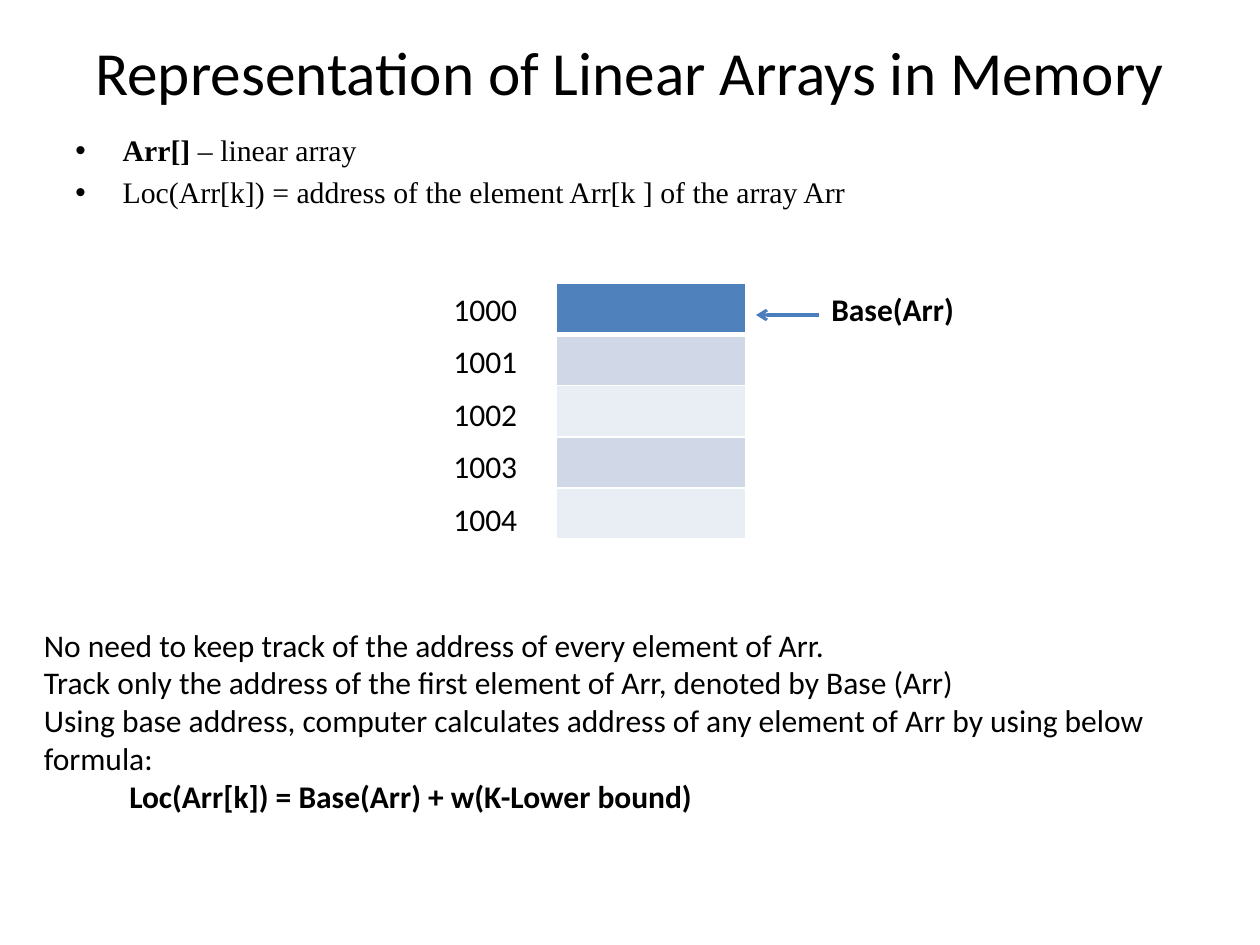
from lxml import etree
from pptx import Presentation
from pptx.dml.color import RGBColor
from pptx.enum.shapes import MSO_CONNECTOR
from pptx.enum.text import MSO_ANCHOR, MSO_AUTO_SIZE, PP_ALIGN
from pptx.oxml.ns import qn
from pptx.util import Pt

STRAIGHT = MSO_CONNECTOR.STRAIGHT
MIDDLE = MSO_ANCHOR.MIDDLE
GROW, FIXED = MSO_AUTO_SIZE.SHAPE_TO_FIT_TEXT, MSO_AUTO_SIZE.NONE
LEFT, CENTER, JUSTIFY = PP_ALIGN.LEFT, PP_ALIGN.CENTER, PP_ALIGN.JUSTIFY

BLACK = RGBColor(0x00, 0x00, 0x00)
WHITE = RGBColor(0xFF, 0xFF, 0xFF)
BLUE = RGBColor(0x4F, 0x81, 0xBD)
DARK_BAND = RGBColor(0xD0, 0xD8, 0xE8)
LIGHT_BAND = RGBColor(0xE9, 0xED, 0xF4)
ARROW_BLUE = RGBColor(0x4B, 0x7E, 0xBC)

MEMORY_TOP = 162
LABEL_STEP = 30
CELL_HEIGHT = 29.2
CELL_FILLS = [BLUE, DARK_BAND, LIGHT_BAND, DARK_BAND, LIGHT_BAND]
FIRST_ADDRESS = 1000

EXPLANATION = [
    "No need to keep track of the address of every element of Arr.",
    "Track only the address of the first element of Arr, denoted by Base (Arr)",
    "Using base address, computer calculates address of any element of Arr "
    "by using below formula:",
]


def add_span(para, text, size=18, font="Calibri", bold=False):
    span = para.add_run()
    span.text = text
    span.font.size = Pt(size)
    span.font.name = font
    span.font.bold = bold
    span.font.color.rgb = BLACK


def add_box(page, left, top, width, height, auto_size=GROW):
    box = page.shapes.add_textbox(Pt(left), Pt(top), Pt(width), Pt(height))
    box.text_frame.word_wrap = True
    box.text_frame.auto_size = auto_size
    return box.text_frame


def next_para(frame, align=LEFT):
    """Return the empty first paragraph, or a new one after the last."""
    para = frame.paragraphs[0] if not frame.paragraphs[0].runs else frame.add_paragraph()
    para.alignment = align
    return para


def indent(para, left, first=0):
    properties = para._p.get_or_add_pPr()
    properties.set("marL", str(Pt(left)))
    properties.set("indent", str(Pt(first)))
    return properties


def add_title(page, text):
    title = page.shapes.title
    title.left, title.top, title.width, title.height = Pt(36), Pt(21.6), Pt(648), Pt(38)
    frame = title.text_frame
    frame.word_wrap = True
    frame.auto_size = FIXED
    frame.vertical_anchor = MIDDLE
    add_span(next_para(frame, CENTER), text, size=35)


def add_bullet(frame, *parts):
    """Add a bulleted paragraph from (text, bold) pairs."""
    para = next_para(frame, JUSTIFY)
    para.space_before = Pt(3.4)
    properties = indent(para, 27, -27)
    etree.SubElement(properties, qn("a:buFont"), typeface="Arial")
    etree.SubElement(properties, qn("a:buChar"), char="•")
    for text, bold in parts:
        add_span(para, text, size=17, font="Times New Roman", bold=bold)


def add_border(cell, side, width):
    line = etree.SubElement(cell._tc.get_or_add_tcPr(), qn(f"a:ln{side}"), w=str(Pt(width)))
    fill = etree.SubElement(line, qn("a:solidFill"))
    etree.SubElement(fill, qn("a:srgbClr"), val=str(WHITE))


def add_memory_table(page):
    count = len(CELL_FILLS)
    table = page.shapes.add_table(
        count, 1, Pt(318), Pt(MEMORY_TOP), Pt(108), Pt(CELL_HEIGHT * count)
    ).table
    for index, color in enumerate(CELL_FILLS):
        table.rows[index].height = Pt(CELL_HEIGHT)
        cell = table.cell(index, 0)
        widths = {"L": 1, "R": 1, "T": 3 if index == 1 else 1, "B": 3 if index == 0 else 1}
        for side, width in widths.items():
            add_border(cell, side, width)
        cell.fill.solid()
        cell.fill.fore_color.rgb = color


def add_arrow(page, start, end):
    arrow = page.shapes.add_connector(STRAIGHT, *map(Pt, start + end))
    arrow.line.color.rgb = ARROW_BLUE
    arrow.line.width = Pt(1.75)
    etree.SubElement(arrow.line._get_or_add_ln(), qn("a:tailEnd"), type="arrow")
    etree.SubElement(arrow._element.spPr, qn("a:effectLst"))


def main():
    deck = Presentation()
    deck.slide_width, deck.slide_height = Pt(720), Pt(540)
    page = deck.slides.add_slide(deck.slide_layouts[5])

    add_title(page, "Representation of Linear Arrays in Memory")

    notation = add_box(page, 36, 72, 648, 60, auto_size=FIXED)
    add_bullet(notation, ("Arr[]", True), (" – linear array", False))
    add_bullet(notation, ("Loc(Arr[k]) = address of the element Arr[k ] of the array Arr", False))

    add_memory_table(page)
    for index in range(len(CELL_FILLS)):
        label = add_box(page, 252, MEMORY_TOP + index * LABEL_STEP, 60, 29)
        add_span(next_para(label), str(FIRST_ADDRESS + index))

    explanation = add_box(page, 18, 354, 690, 116.6)
    for text in EXPLANATION:
        add_span(next_para(explanation), text)
    formula = next_para(explanation)
    indent(formula, 48.8)
    add_span(formula, "Loc(Arr[k]) = Base(Arr) + w(K-Lower bound)", bold=True)

    base_label = add_box(page, 468, MEMORY_TOP, 174, 30)
    add_span(next_para(base_label), "Base(Arr)", bold=True)
    add_arrow(page, (468, 180), (432, 180))

    deck.save("out.pptx")


if __name__ == "__main__":
    main()
